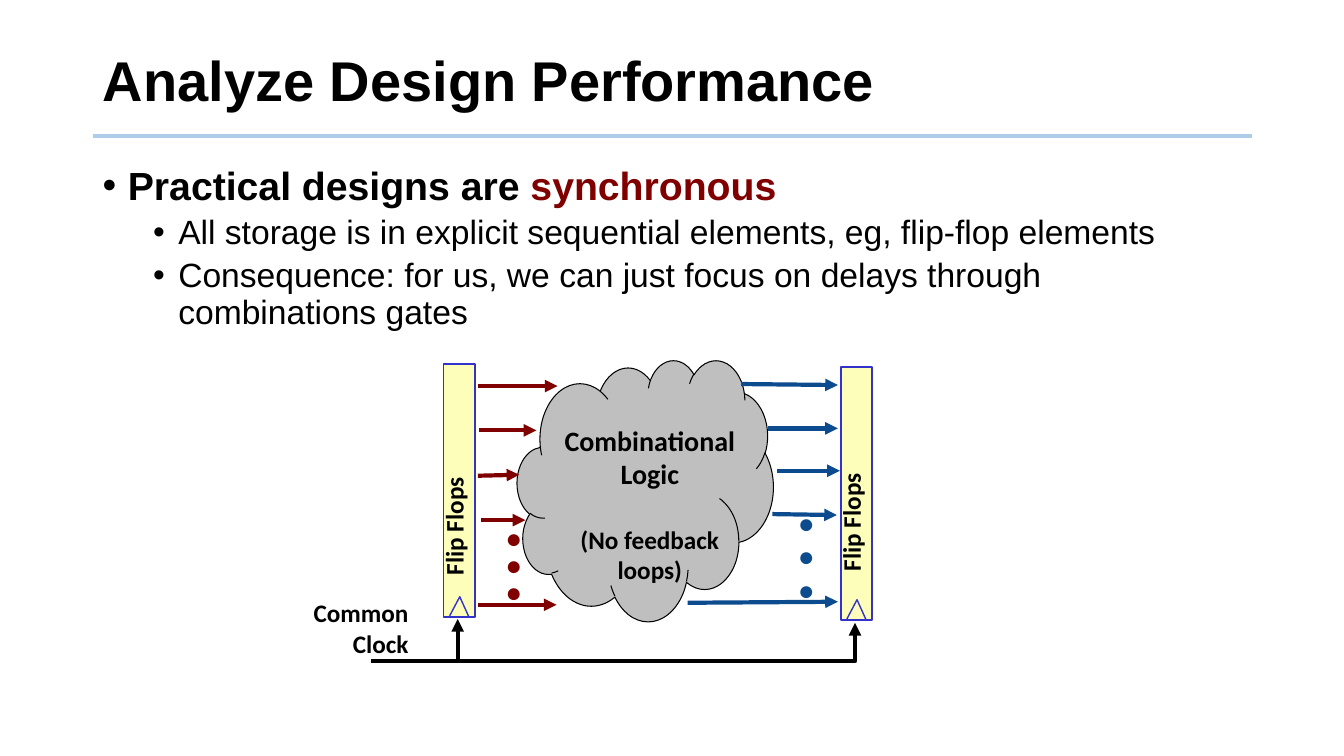
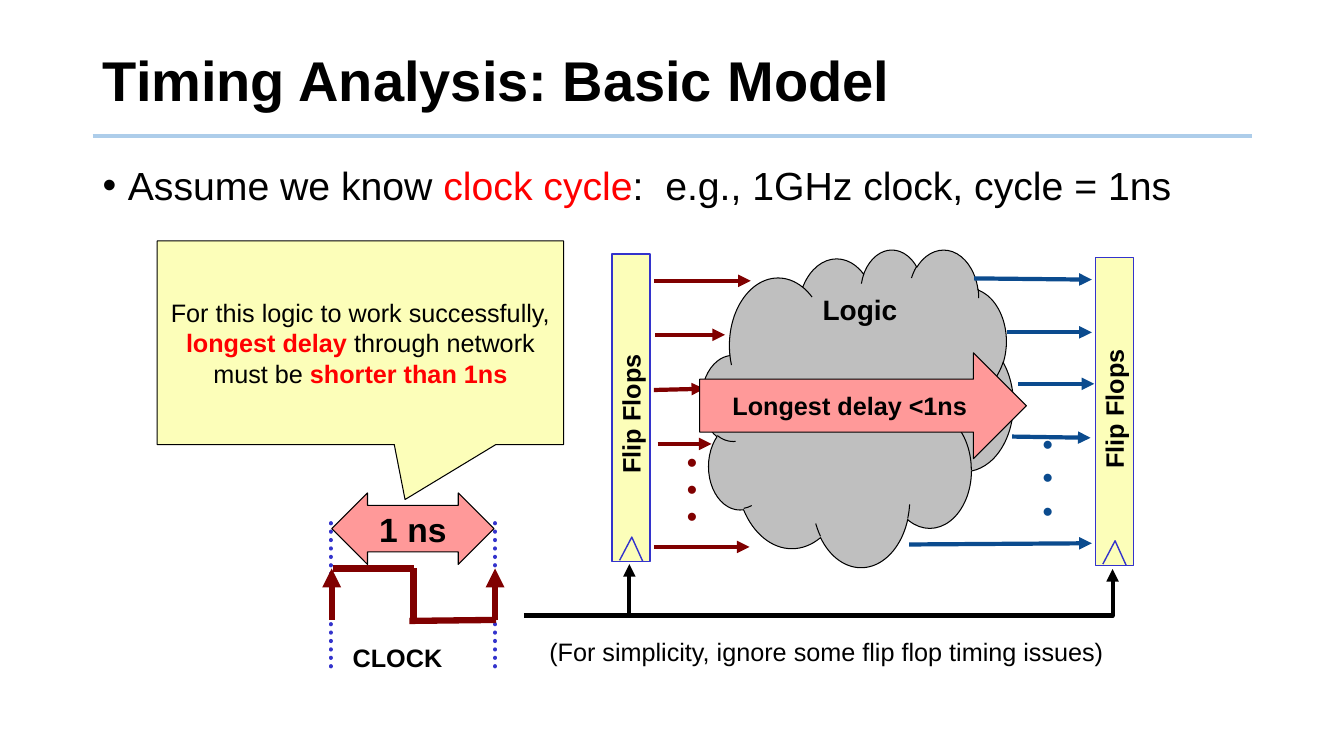
"""Build two slides on the timing of synchronous logic."""
from lxml.etree import SubElement
from pptx import Presentation
from pptx.dml.color import RGBColor
from pptx.enum.dml import MSO_LINE
from pptx.enum.shapes import MSO_CONNECTOR, MSO_SHAPE
from pptx.enum.text import MSO_ANCHOR, MSO_AUTO_SIZE, PP_ALIGN
from pptx.oxml.ns import qn
from pptx.util import Inches, Pt

BLACK, MAROON, RED, BLUE = "000000", "800000", "FF0000", "0B4B8E"
YELLOW, PINK, GRAY, OUTLINE, RULE = "FCFEB9", "FF9999", "BFBFBF", "3333CC", "ADCDEA"
CLOUD_WIDTH, CLOUD_HEIGHT = 2.54, 2.59


def draw(shape, color, width, fill=None, arrow=False, dash=None):
    """Format the outline, fill and arrowhead of a shape or connector."""
    shape.line.color.rgb = RGBColor.from_string(color)
    shape.line.width = Pt(width)
    outline = shape.line._get_or_add_ln()
    if dash:
        shape.line.dash_style = dash
        outline.set("cap", "rnd")
    if arrow:
        SubElement(outline, qn("a:tailEnd"), type="triangle")
    if fill:
        shape.fill.solid()
        shape.fill.fore_color.rgb = RGBColor.from_string(fill)
    SubElement(shape._element.spPr, qn("a:effectLst"))
    return shape


def write(shape, paragraphs, align=PP_ALIGN.LEFT, **values):
    """Fill a shape with paragraphs, each a list of (text, changed values) runs."""
    frame = shape.text_frame
    frame.word_wrap = True
    frame.auto_size = MSO_AUTO_SIZE.NONE
    for index, runs in enumerate(paragraphs):
        paragraph = frame.add_paragraph() if index else frame.paragraphs[0]
        paragraph.alignment = align
        for text, changes in runs:
            run = paragraph.add_run()
            run.text = text
            font_values = {"name": "Arial", "size": 18, "bold": False, "color": BLACK, **values, **changes}
            run.font.color.rgb = RGBColor.from_string(font_values.pop("color"))
            font_values["size"] = Pt(font_values["size"])
            for attribute, value in font_values.items():
                setattr(run.font, attribute, value)
    return frame


presentation = Presentation()
presentation.slide_width, presentation.slide_height = Inches(13.33), Inches(7.5)

slide_contents = [
    {
        "title": "Analyze Design Performance",
        "body": [
            (0, [("Practical designs are ", {"bold": True}), ("synchronous", {"bold": True, "color": MAROON})]),
            (1, [("All storage is in explicit sequential elements, eg, flip-flop elements", {})]),
            (1, [("Consequence: for us, we can just focus on delays through combinations gates", {})]),
        ],
        "cloud": (5.13, 3.57, 2.54),
        "font": "Calibri",
        "label": (1.79, 0.5),
    },
    {
        "title": "Timing Analysis: Basic Model",
        "body": [
            (0, [("Assume we know", {}), (" clock cycle", {"color": RED}),
                 (":  e.g., 1GHz clock, cycle = 1ns", {})]),
        ],
        "cloud": (6.96, 2.47, 3.09),
        "font": "Arial",
        "label": (1.39, 0.4),
    },
]

flip_flops = [(4.4, 3.61, 4.91), (8.34, 3.64, 4.87)]
clock_wires = [
    [(3.68, 6.56), (4.54, 6.56), (4.54, 6.14)],
    [(4.53, 6.56), (8.48, 6.56), (8.48, 6.18)],
]
signals = {
    MAROON: [(4.74, 3.83, 5.53, 3.83), (4.75, 4.27, 5.32, 4.27), (4.74, 4.72, 5.15, 4.71),
             (4.77, 5.16, 5.21, 5.16), (4.74, 6, 5.52, 6)],
    BLUE: [(7.35, 3.81, 8.31, 3.82), (7.62, 4.25, 8.31, 4.25), (7.71, 4.67, 8.33, 4.67),
           (7.66, 5.1, 8.3, 5.11), (6.82, 5.98, 8.31, 5.97)],
}
ellipses = [(MAROON, 4.93, 5.18, 0.8), (BLUE, 7.83, 5.03, 1)]

slides = []
for content in slide_contents:
    slide = presentation.slides.add_slide(presentation.slide_layouts[5])
    slides.append(slide)
    shapes = slide.shapes
    title = shapes.title
    title.left, title.top, title.width, title.height = map(Inches, (0.92, 0.28, 11.5, 1.1))
    title_frame = write(title, [[(content["title"], {})]], size=40, bold=True)
    title_frame.vertical_anchor = MSO_ANCHOR.MIDDLE
    title_frame.paragraphs[0].line_spacing = 0.9
    rule = shapes.add_connector(MSO_CONNECTOR.STRAIGHT, *map(Inches, (0.92, 1.35, 12.42, 1.35)))
    draw(rule, RULE, 3)

    body = shapes.add_textbox(*map(Inches, (0.92, 1.6, 11.5, 1.9)))
    body_frame = write(body, [
        [(text, {"size": 24 if level else 28, **changes}) for text, changes in runs]
        for level, runs in content["body"]
    ])
    for index, (level, runs) in enumerate(content["body"]):
        paragraph = body_frame.paragraphs[index]
        properties = paragraph._p.get_or_add_pPr()
        properties.set("marL", str(Inches(0.25 + 0.5 * level)))
        properties.set("indent", str(Inches(-0.25)))
        SubElement(properties, qn("a:buFont"), typeface="Arial")
        SubElement(properties, qn("a:buChar"), char="•")
        paragraph.level = level
        paragraph.line_spacing = 0.9
        if index:
            paragraph.space_before = Pt(5)

    cloud_left, cloud_top, cloud_width = content["cloud"]
    scale = cloud_width / CLOUD_WIDTH
    origin_left, origin_top = cloud_left - 5.13 * scale, cloud_top - 3.57 * scale
    cloud = shapes.add_shape(MSO_SHAPE.CLOUD, *map(Inches, (
        cloud_left, cloud_top, cloud_width, CLOUD_HEIGHT * scale)))
    draw(cloud, BLACK, 0.75, GRAY)

    paths = [(points, BLACK, 3, True) for points in clock_wires]
    for left, top, label_middle in flip_flops:
        register = shapes.add_shape(MSO_SHAPE.RECTANGLE, *map(Inches, (
            origin_left + left * scale, origin_top + top * scale, 0.31 * scale, 2.51 * scale)))
        draw(register, OUTLINE, 1, YELLOW)
        length, thickness = content["label"]
        label = shapes.add_textbox(*map(Inches, (
            origin_left + (left + 0.15) * scale - length / 2,
            origin_top + label_middle * scale - thickness / 2, length, thickness)))
        label.rotation = 270
        write(label, [[("Flip Flops", {})]], name=content["font"], bold=True)
        clock_mark = [(left + 0.06, top + 2.5), (left + 0.16, top + 2.31), (left + 0.25, top + 2.51)]
        paths.append((clock_mark, OUTLINE, 1, False))

    for points, color, width, arrow in paths:
        start, *others = [
            (Inches(origin_left + x * scale), Inches(origin_top + y * scale)) for x, y in points]
        builder = shapes.build_freeform(*start)
        builder.add_line_segments(others, close=False)
        path_shape = builder.convert_to_shape()
        path_shape.fill.background()
        draw(path_shape, color, width, arrow=arrow)

    for color, lines in signals.items():
        for x1, y1, x2, y2 in lines:
            signal = shapes.add_connector(MSO_CONNECTOR.STRAIGHT, *map(Inches, (
                origin_left + x1 * scale, origin_top + y1 * scale,
                origin_left + x2 * scale, origin_top + y2 * scale)))
            draw(signal, color, 3, arrow=True)

    for color, left, top, spacing in ellipses:
        dots = shapes.add_textbox(*map(Inches, (
            origin_left + left * scale, origin_top + top * scale, 0.4, 1.04)))
        dots_frame = write(dots, [[("•", {})]] * 3, name=content["font"], size=20, bold=True, color=color)
        for paragraph in dots_frame.paragraphs:
            paragraph.line_spacing = spacing
        dots_frame.paragraphs[0].line_spacing = 0.8

design_slide, timing_slide = slides

cloud_text = design_slide.shapes.add_textbox(*map(Inches, (5.37, 4.15, 2.15, 1.78)))
cloud_frame = write(cloud_text, [
    [("Combinational", {"size": 20})], [("Logic", {"size": 20})], [("(No feedback", {})], [("loops)", {})],
], PP_ALIGN.CENTER, name="Calibri", bold=True)
cloud_frame.paragraphs[2].space_before = Pt(24)
clock_text = design_slide.shapes.add_textbox(*map(Inches, (2.53, 5.88, 1.62, 0.7)))
write(clock_text, [[("Common", {})], [("Clock", {})]], PP_ALIGN.RIGHT, name="Calibri", bold=True)

shapes = timing_slide.shapes
logic_text = shapes.add_textbox(*map(Inches, (7.93, 2.85, 1.2, 0.45)))
write(logic_text, [[("Logic", {})]], PP_ALIGN.CENTER, size=20, bold=True)

clock_lines = [
    (3.28, 6.61, 3.28, 5.15, OUTLINE, 3, False, MSO_LINE.ROUND_DOT),
    (4.91, 6.61, 4.91, 5.15, OUTLINE, 3, False, MSO_LINE.ROUND_DOT),
    (4.06, 6.16, 4.92, 6.15, MAROON, 4.5, False, None),
    (3.29, 6.15, 3.29, 5.64, MAROON, 4.5, True, None),
    (3.3, 5.64, 4.11, 5.64, MAROON, 4.5, False, None),
    (4.1, 6.15, 4.1, 5.64, MAROON, 4.5, False, None),
    (4.91, 6.15, 4.91, 5.64, MAROON, 4.5, True, None),
]
for x1, y1, x2, y2, color, width, arrow, dash in clock_lines:
    clock_line = shapes.add_connector(MSO_CONNECTOR.STRAIGHT, *map(Inches, (x1, y1, x2, y2)))
    draw(clock_line, color, width, arrow=arrow, dash=dash)

callout_runs = [
    ("For this logic to work successfully, ", {}),
    ("longest delay ", {"bold": True, "color": RED}),
    ("through network must be ", {}),
    ("shorter than 1ns", {"bold": True, "color": RED}),
]
block_shapes = [
    (MSO_SHAPE.RIGHT_ARROW, (6.94, 3.5, 3.24, 1.05), (0.5, 0.5), PINK, 0,
     [("Longest delay <1ns", {"bold": True})]),
    (MSO_SHAPE.LEFT_RIGHT_ARROW, (3.29, 4.89, 1.61, 0.71), (0.65, 0.5), PINK, 0,
     [("1 ns", {"bold": True, "size": 24})]),
    (MSO_SHAPE.RECTANGULAR_CALLOUT, (1.56, 2.39, 4.03, 2.02), (0.11, 0.77), YELLOW, 0.1, callout_runs),
]
for kind, box, adjustments, fill, margin, runs in block_shapes:
    block = shapes.add_shape(kind, *map(Inches, box))
    for index, adjustment in enumerate(adjustments):
        block.adjustments[index] = adjustment
    draw(block, BLACK, 0.75, fill)
    block_frame = write(block, [runs], PP_ALIGN.CENTER)
    block_frame.margin_left = block_frame.margin_right = Inches(margin)
    block_frame.vertical_anchor = MSO_ANCHOR.MIDDLE

captions = [
    ("CLOCK", (3.4, 6.32, 1.3, 0.4), True),
    ("(For simplicity, ignore some flip flop timing issues)", (5.35, 6.26, 6, 0.4), False),
]
for text, box, bold in captions:
    write(shapes.add_textbox(*map(Inches, box)), [[(text, {})]], bold=bold)

presentation.save("out.pptx")
